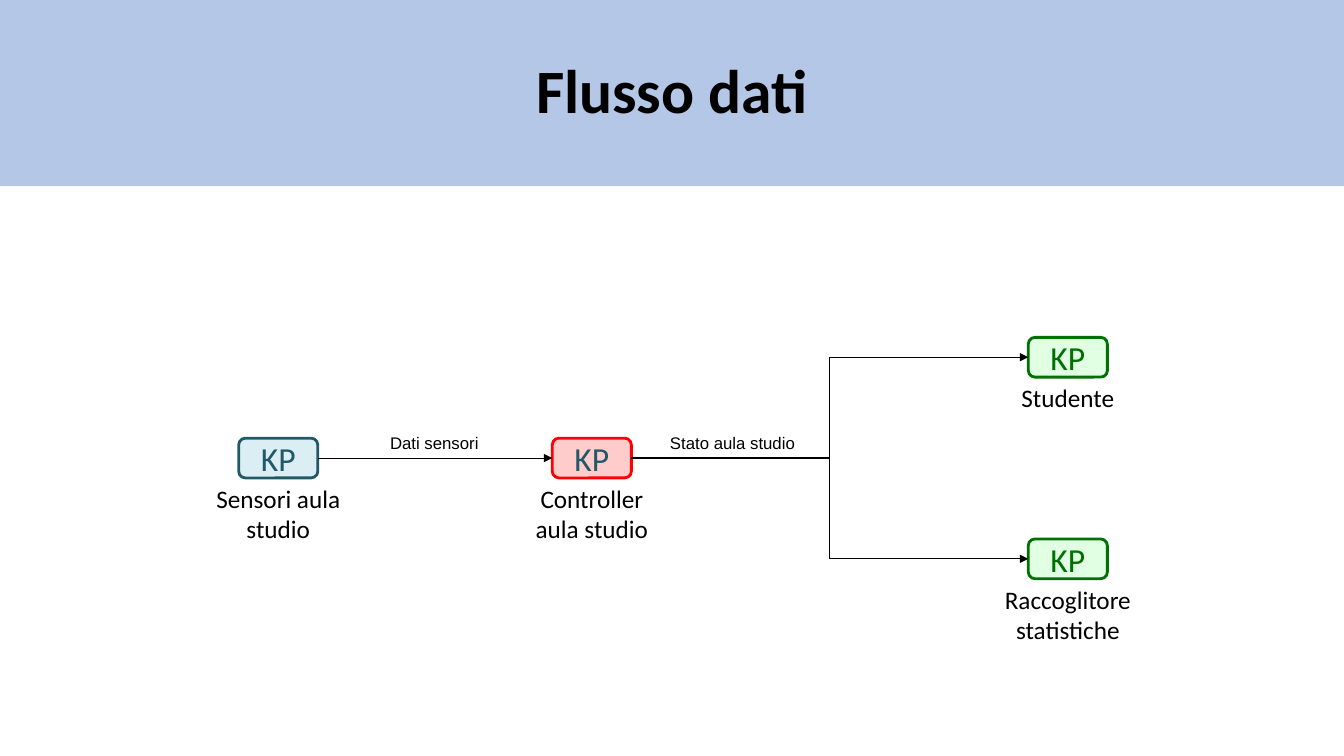
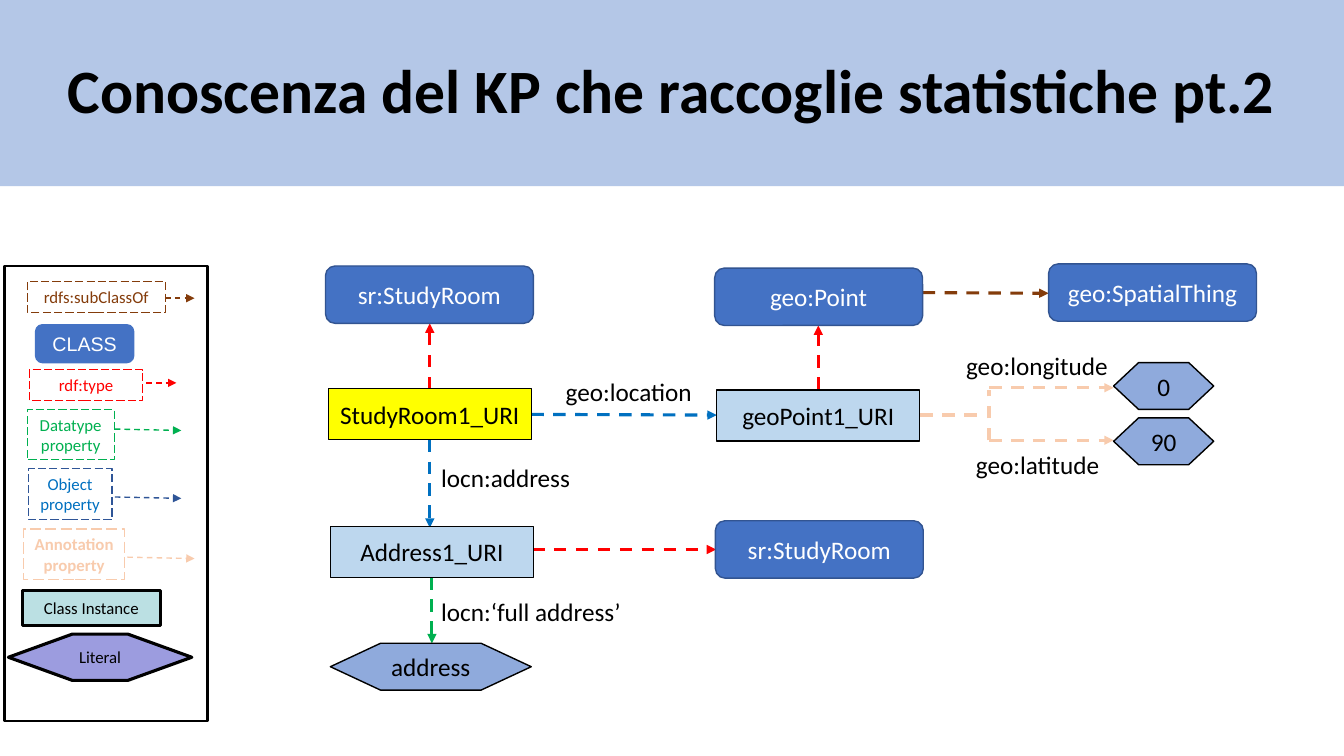
from lxml import etree
from pptx import Presentation
from pptx import util as u
from pptx.dml import color as dml_color
from pptx.enum import dml, shapes, text
from pptx.oxml import ns

Pt = u.Pt
COLORS = {
    "band": "B4C7E7", "black": "000000", "white": "FFFFFF",
    "green": "007003", "pale green": "E1FFE2",
    "teal": "215968", "pale teal": "DBEEF4",
    "red": "FF0000", "pale red": "FFCCCC",
    "class": "4472C4", "class edge": "325491",
    "instance": "BDD7EE", "literal": "8FAADC", "yellow": "FFFF00",
    "legend instance": "BBE0E3", "legend literal": "9C9CDF",
    "subclass": "843C0B", "datatype": "00B050", "object": "0070C0",
    "object edge": "2F5597", "annotation": "F8CBAD",
}
RGB = {name: dml_color.RGBColor.from_string(code) for name, code in COLORS.items()}
RECT = shapes.MSO_SHAPE.RECTANGLE
ROUND = shapes.MSO_SHAPE.ROUNDED_RECTANGLE
HEXAGON = shapes.MSO_SHAPE.HEXAGON
STRAIGHT, ELBOW = shapes.MSO_CONNECTOR.STRAIGHT, shapes.MSO_CONNECTOR.ELBOW
DASH, LONG_DASH = dml.MSO_LINE.DASH, dml.MSO_LINE.LONG_DASH
CENTER, LEFT = text.PP_ALIGN.CENTER, text.PP_ALIGN.LEFT


def add_box(slide, words, place, kind=None, fill=None, edge=None, width=1, dash=None,
            size=18, color="black", font="Calibri", bold=False, align=CENTER):
    """Add a preset shape, or a plain text box when kind is None, with its text."""
    place = [Pt(length) for length in place]
    if kind is None:
        box = slide.shapes.add_textbox(*place)
    else:
        box = slide.shapes.add_shape(kind, *place)
        box.shadow.inherit = False
        box.line.color.rgb = RGB[edge]
        box.line.width = Pt(width)
        box.line.dash_style = dash
        if fill:
            box.fill.solid()
            box.fill.fore_color.rgb = RGB[fill]
        else:
            box.fill.background()
    frame = box.text_frame
    frame.word_wrap = kind != HEXAGON
    frame.vertical_anchor = text.MSO_ANCHOR.MIDDLE
    frame.text = words
    for paragraph in frame.paragraphs:
        paragraph.alignment = align
        paragraph.font.name = font
        paragraph.font.size = Pt(size)
        paragraph.font.bold = bold
        paragraph.font.color.rgb = RGB[color]
    return box


def add_link(slide, ends, color, width, dash=DASH, kind=STRAIGHT, head=True):
    """Add a connector between two points, with an arrowhead at its end if wanted."""
    link = slide.shapes.add_connector(kind, *[Pt(length) for length in ends])
    link.line.color.rgb = RGB[color]
    link.line.width = Pt(width)
    link.line.dash_style = dash
    if head:
        tail = etree.SubElement(link.line._get_or_add_ln(), ns.qn("a:tailEnd"))
        tail.set("type", "triangle")
    etree.SubElement(link._element.spPr, ns.qn("a:effectLst"))
    return link


deck = Presentation()
deck.slide_width, deck.slide_height = Pt(960), Pt(540)

for heading in ("Flusso dati", "Conoscenza del KP che raccoglie statistiche pt.2"):
    title = deck.slides.add_slide(deck.slide_layouts[5]).shapes.title
    title.left, title.top, title.width, title.height = 0, 0, Pt(960), Pt(133)
    title.fill.solid()
    title.fill.fore_color.rgb = RGB["band"]
    title.text_frame.text = heading
    title.text_frame.vertical_anchor = text.MSO_ANCHOR.MIDDLE
    line = title.text_frame.paragraphs[0]
    line.alignment = CENTER
    line.line_spacing = 0.9
    line.font.name, line.font.size, line.font.bold = "Calibri", Pt(44), True
    line.font.color.rgb = RGB["black"]
flow, knowledge = deck.slides

# Data flow: processors with a caption under each
KP_W, KP_H, CAPTION_W = 56.5, 28.4, 106
processors = {}
for caption, left, top, fill, edge, color, caption_h in (
    ("Sensori aula studio", 170.5, 313, "pale teal", "teal", "teal", 51),
    ("Controller aula studio", 394.5, 313, "pale red", "red", "teal", 51),
    ("Studente", 734.5, 241, "pale green", "green", "green", 29),
    ("Raccoglitore statistiche", 734.5, 385, "pale green", "green", "green", 51),
):
    processors[caption] = add_box(flow, "KP", (left, top, KP_W, KP_H), ROUND, fill, edge, 2,
                                  size=24, color=color)
    add_box(flow, caption, (left + (KP_W - CAPTION_W) / 2, top + KP_H, CAPTION_W, caption_h))

sensors, controller, student, collector = processors.values()
for source, target in ((sensors, controller), (controller, student), (controller, collector)):
    link = add_link(flow, (0, 0, 0, 0), "black", 0.75, None, ELBOW)
    link.begin_connect(source, 3)
    link.end_connect(target, 1)

for message, left in (("Dati sensori", 254), ("Stato aula studio", 467)):
    add_box(flow, message, (left, 305, 112.5, 22), size=12, font="Arial")

# Legend
add_box(knowledge, "", (3.5, 190, 145, 325), RECT, edge="black", width=2)
for words, place, edge, color, width, arrow in (
    ("rdfs:subClassOf", (19.5, 201, 98.5, 22), "subclass", "subclass", 0.75, (118, 213, 139, 213)),
    ("rdf:type", (21, 264, 81, 22), "red", "red", 0.75, (104.5, 273.5, 126, 273.5)),
    ("Datatype\nproperty", (19.5, 292.5, 62, 36), "datatype", "datatype", 0.75,
     (82, 306.5, 129.5, 307.5)),
    ("Object property", (20, 335, 60, 36), "object edge", "object", 0.75,
     (82, 355, 129.5, 356)),
    ("Annotation property", (17, 378, 72, 36), "annotation", "annotation", 1,
     (91, 398, 139, 399)),
):
    add_box(knowledge, words, place, RECT, None, edge, width, LONG_DASH, 12, color,
            bold=edge == "annotation")
    add_link(knowledge, arrow, edge, 1)
add_box(knowledge, "CLASS", (26, 232.5, 69, 26), ROUND, "class", "class", 2,
        size=14, color="white", font="Arial")
add_box(knowledge, "Class Instance", (16, 422, 98.5, 25), RECT, "legend instance", "black", 2.25,
        size=12)
legend_literal = add_box(knowledge, "Literal", (6, 453, 131, 33), HEXAGON, "legend literal",
                         "black", 2.25, size=12)
legend_literal.adjustments[0] = 1.38

# Relations between the nodes
for color, ends in (
    ("red", (307, 278, 307, 231)),
    ("red", (584.5, 278.5, 584.5, 232.5)),
    ("red", (380, 392.5, 511.5, 392.5)),
    ("object", (379.5, 296, 512, 296.5)),
    ("object", (307, 314, 307, 377)),
    ("subclass", (659, 209, 749, 209.5)),
    ("datatype", (308.5, 412.5, 308.5, 459.5)),
    ("annotation", (706.5, 314.5, 795.5, 314.5)),
    ("annotation", (706.5, 277, 795.5, 277)),
):
    add_link(knowledge, ends, color, 2.25)
for ends in ((657.5, 296.5, 704, 296.5), (706.5, 314.5, 706.5, 278.5)):
    add_link(knowledge, ends, "annotation", 2.25, head=False)

for relation, left, top in (
    ("locn:address", 308, 326.5),
    ("geo:location", 397, 265),
    ("geo:latitude", 690, 317),
    ("geo:longitude", 683, 246.5),
    ("locn:‘full address’", 308, 422),
):
    add_box(knowledge, relation, (left, top, 143, 29), align=LEFT)

# Nodes
for name, left, top in (
    ("sr:StudyRoom", 232.5, 190),
    ("geo:Point", 510.5, 191.5),
    ("sr:StudyRoom", 511, 372),
    ("geo:SpatialThing", 749, 188.5),
):
    add_box(knowledge, name, (left, top, 148.5, 41), ROUND, "class", "class edge", color="white")
for name, left, top, fill in (
    ("StudyRoom1_URI", 234.5, 277.5, "yellow"),
    ("geoPoint1_URI", 512, 278.5, "instance"),
    ("Address1_URI", 236, 376, "instance"),
):
    add_box(knowledge, name, (left, top, 145, 36.5), RECT, fill, "black")
for value, left, top, width in (
    ("0", 795.5, 259, 71.5),
    ("90", 795.5, 298.5, 71.5),
    ("address", 236, 459.5, 143.5),
):
    literal = add_box(knowledge, value, (left, top, width, 33.5), HEXAGON, "literal", "black")
    literal.adjustments[0] = width / 4 / 33.5

deck.save("out.pptx")
